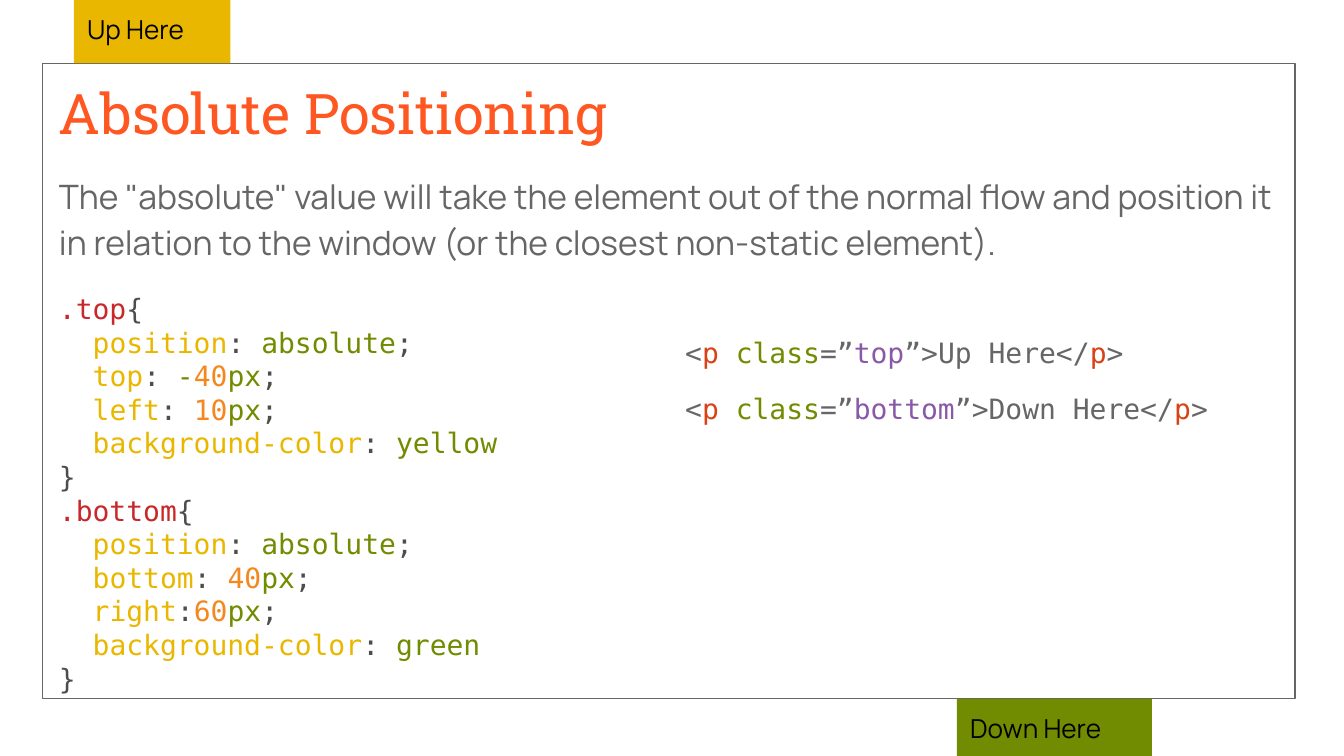
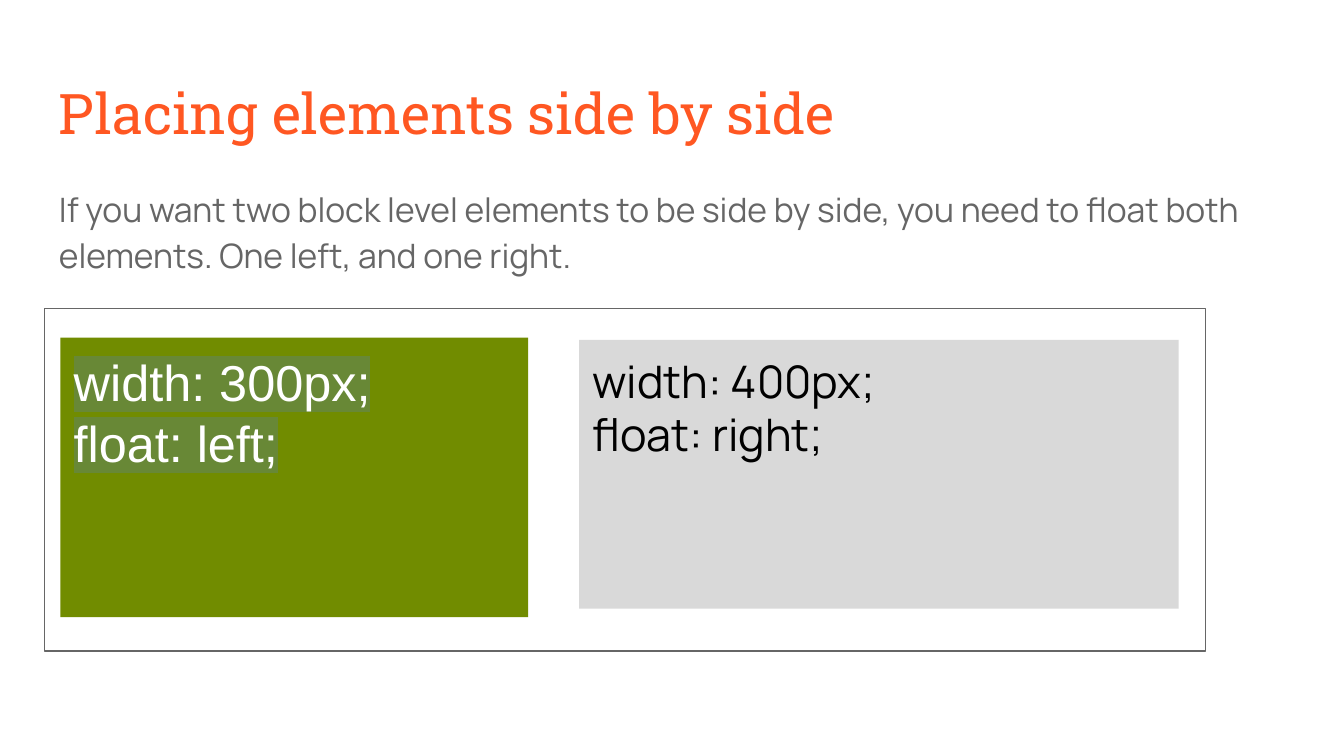
from lxml.etree import SubElement
from pptx import Presentation
from pptx.dml.color import RGBColor
from pptx.enum.shapes import MSO_SHAPE
from pptx.enum.text import MSO_ANCHOR, PP_ALIGN
from pptx.oxml.ns import qn
from pptx.util import Inches, Pt

SLIDE_WIDTH = Inches(10)
SLIDE_HEIGHT = SLIDE_WIDTH * 9 // 16
CELL = SLIDE_WIDTH // 100
MARGIN = 3.41
CONTENT_WIDTH = 93.18

COLORS = {
    "title": "FF5722",
    "body": "666666",
    "black": "000000",
    "white": "FFFFFF",
    "yellow": "EAB700",
    "green": "718C00",
    "gray": "D9D9D9",
    "selection": "688836",
    "selector": "C82829",
    "brace": "4D4D4C",
    "property": "EAB700",
    "value": "718C00",
    "number": "F5871F",
    "tag": "D84315",
    "string": "8959A8",
}
TITLE_FONT = "Roboto Slab"
BODY_FONT = "Manrope"
CODE_FONT = "DejaVu Sans Mono"


def rgb(color):
    return RGBColor.from_string(COLORS[color])


def grid(*cells):
    return [round(cell * CELL) for cell in cells]


def add_run(paragraph, text, color, size, font, highlight=None):
    run = paragraph.add_run()
    run.text = text
    run.font.size = Pt(size)
    run.font.color.rgb = rgb(color)
    if highlight:
        marker = SubElement(run.font._element, qn("a:highlight"))
        SubElement(marker, qn("a:srgbClr"), val=COLORS[highlight])
    run.font.name = font


def write(frame, lines, size, font, spacing=1.0, gap=0, highlight=None):
    frame.word_wrap = True
    frame.vertical_anchor = MSO_ANCHOR.TOP
    frame.margin_left = frame.margin_right = Inches(0.1)
    frame.margin_top = frame.margin_bottom = Inches(0.1)
    for index, line in enumerate(lines):
        paragraph = frame.paragraphs[0] if index == 0 else frame.add_paragraph()
        paragraph.alignment = PP_ALIGN.LEFT
        paragraph.line_spacing = spacing
        if index and gap:
            paragraph.space_before = paragraph.space_after = Pt(gap)
        for text, color in line:
            add_run(paragraph, text, color, size, font, highlight)


def add_text(slide, place, lines, size, font, **style):
    box = slide.shapes.add_textbox(*grid(*place))
    write(box.text_frame, lines, size, font, **style)


def add_heading(slide, title, intro, intro_top):
    add_text(slide, (MARGIN, 4.85, CONTENT_WIDTH, 6.3),
             [[(title, "title")]], 30, TITLE_FONT)
    add_text(slide, (MARGIN, intro_top, CONTENT_WIDTH, 10),
             [[(intro, "body")]], 18, BODY_FONT, spacing=1.15)


def add_rectangle(slide, place):
    rectangle = slide.shapes.add_shape(MSO_SHAPE.RECTANGLE, *grid(*place))
    rectangle.shadow.inherit = False
    return rectangle


def add_frame(slide, place):
    frame = add_rectangle(slide, place)
    frame.fill.background()
    frame.line.color.rgb = rgb("body")
    frame.line.width = Pt(0.75)


def add_block(slide, place, fill, texts, size, color="black", font=BODY_FONT, **style):
    block = add_rectangle(slide, place)
    block.fill.solid()
    block.fill.fore_color.rgb = rgb(fill)
    block.line.fill.background()
    write(block.text_frame, [[(text, color)] for text in texts], size, font, **style)


def pixels(amount):
    return [(amount, "number"), ("px", "value"), (";", "brace")]


def css_rule(selector, declarations):
    lines = [[(selector, "selector"), ("{", "brace")]]
    for name, colon, value in declarations:
        lines.append([("  ", "brace"), (name, "property"), (colon, "brace"), *value])
    return lines + [[("}", "brace")]]


def html_paragraph(css_class, content):
    return [("<", "body"), ("p", "tag"), (" ", "body"), ("class", "value"),
            ("=”", "body"), (css_class, "string"), (f"”>{content}</", "body"),
            ("p", "tag"), (">", "body")]


def build_positioning(slide):
    absolute = ("position", ":", [(" absolute", "value"), (";", "brace")])
    css = css_rule(".top", [
        absolute,
        ("top", ":", [(" -", "value"), *pixels("40")]),
        ("left", ": ", pixels("10")),
        ("background-color", ":", [(" yellow", "value")]),
    ]) + css_rule(".bottom", [
        absolute,
        ("bottom", ": ", pixels("40")),
        ("right", ":", pixels("60")),
        ("background-color", ":", [(" green", "value")]),
    ])
    html = [html_paragraph("top", "Up Here"), html_paragraph("bottom", "Down Here")]

    add_frame(slide, (3.15, 4.75, 93.2, 47.25))
    add_heading(
        slide, "Absolute Positioning",
        'The "absolute" value will take the element out of the normal flow and '
        "position it in relation to the window (or the closest non-static element).",
        11.63)
    add_text(slide, (MARGIN, 20.7, 47.3, 30.3), css, 15, CODE_FONT)
    add_text(slide, (50, 23.5, 46.6, 18.5), html, 15, CODE_FONT, spacing=1.2, gap=8)
    add_block(slide, (5.5, 0, 11.65, 4.7), "yellow", ["Up Here"], 14)
    add_block(slide, (71.2, 52, 14.5, 4.7), "green", ["Down Here"], 14)


def build_side_by_side(slide):
    add_heading(
        slide, "Placing elements side by side",
        "If you want two block level elements to be side by side, you need to float "
        "both elements. One left, and one right.",
        12.6)
    add_block(slide, (4.5, 25.13, 34.8, 20.8), "green",
              ["width: 300px;", "float: left;"], 27, "white", "Arial",
              highlight="selection")
    add_block(slide, (43.1, 25.3, 44.6, 20), "gray",
              ["width: 400px;", "float: right;"], 24)
    add_frame(slide, (3.3, 22.95, 86.4, 25.5))


def main():
    deck = Presentation()
    deck.slide_width = SLIDE_WIDTH
    deck.slide_height = SLIDE_HEIGHT
    blank = deck.slide_layouts[6]
    for build in (build_positioning, build_side_by_side):
        build(deck.slides.add_slide(blank))
    deck.save("out.pptx")


if __name__ == "__main__":
    main()
